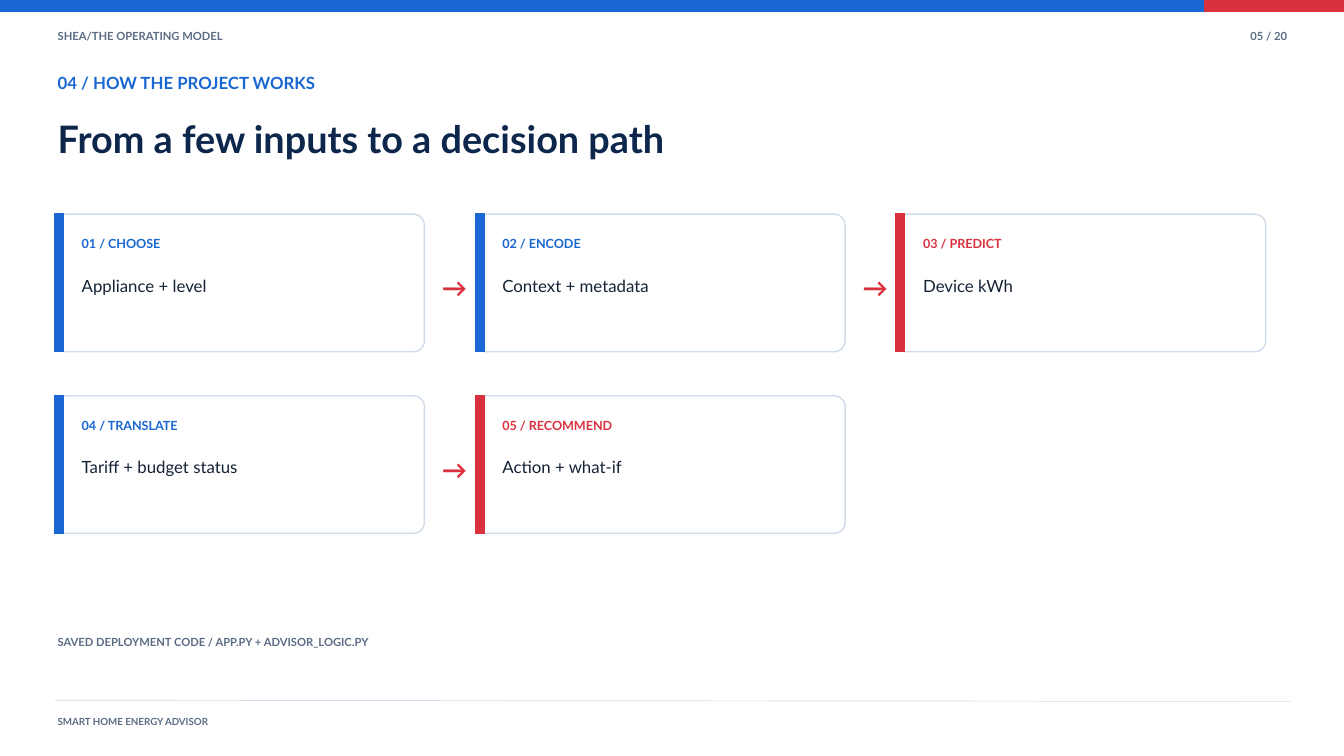
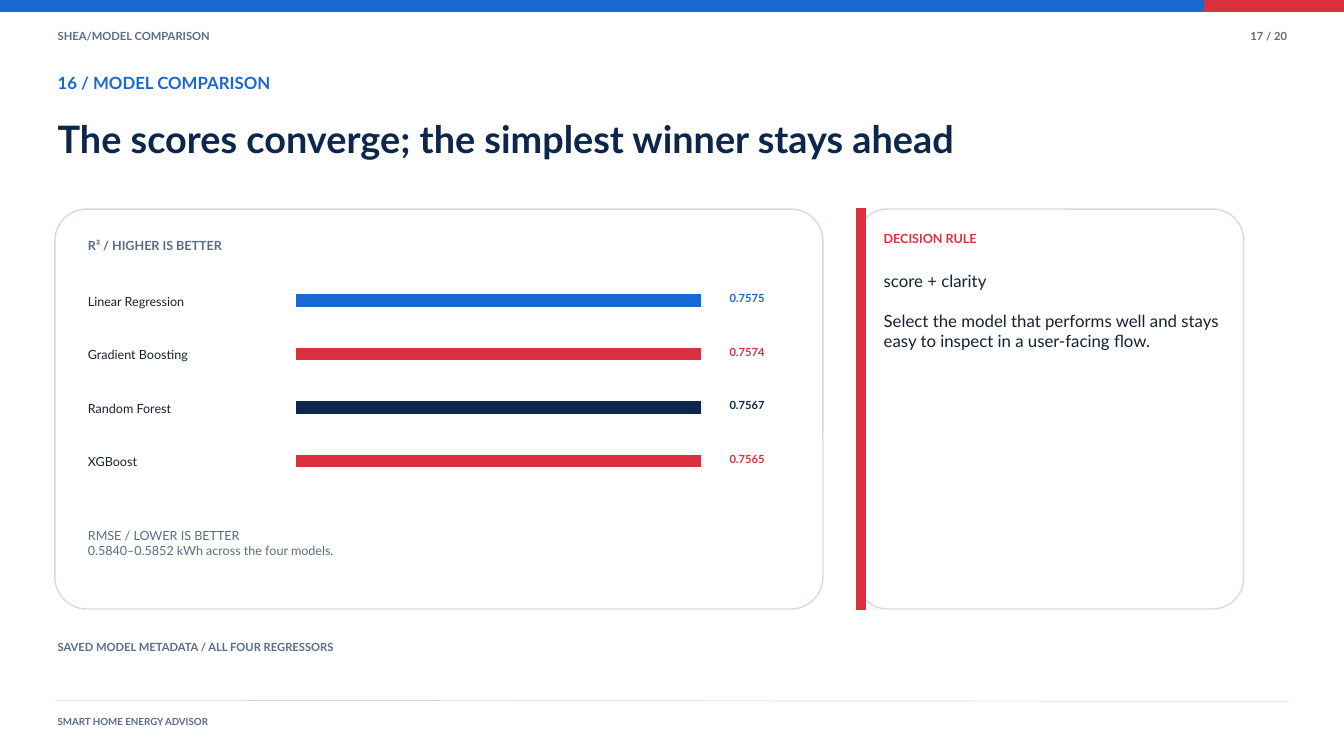
from lxml import etree
from pptx import Presentation
from pptx.dml.color import RGBColor
from pptx.enum.shapes import MSO_CONNECTOR, MSO_SHAPE
from pptx.enum.text import PP_ALIGN
from pptx.oxml.ns import qn
from pptx.util import Pt

LEFT, CENTER, RIGHT = PP_ALIGN.LEFT, PP_ALIGN.CENTER, PP_ALIGN.RIGHT
RECTANGLE, ROUNDED = MSO_SHAPE.RECTANGLE, MSO_SHAPE.ROUNDED_RECTANGLE
BLUE = RGBColor(0x19, 0x67, 0xD2)
RED = RGBColor(0xDB, 0x31, 0x3F)
NAVY = RGBColor(0x0D, 0x26, 0x4C)
INK = RGBColor(0x14, 0x22, 0x36)
SLATE = RGBColor(0x5B, 0x6C, 0x84)
BORDER = RGBColor(0xD1, 0xDC, 0xEB)
TRACK = RGBColor(0xEB, 0xF4, 0xFF)
WHITE = RGBColor(0xFF, 0xFF, 0xFF)
FONT = "Lato"

EDGE, TEXT_LEFT = 58.75, 61.75
CARD_WIDTH, CARD_HEIGHT = 396, 147.4
CARD_TOP, CARD_PITCH_X, CARD_PITCH_Y = 229.5, 450.75, 194.6
PANEL_TOP, PANEL_HEIGHT = 224, 428.5


def write(page, text, left, top, width, height, size, colour,
          bold=False, align=LEFT, gap=0):
    """Add a text box; each line of text becomes a paragraph."""
    box = page.shapes.add_textbox(Pt(left), Pt(top), Pt(width), Pt(height))
    frame = box.text_frame
    frame.word_wrap = True
    frame.margin_left = frame.margin_right = 0
    frame.margin_top = frame.margin_bottom = 0
    frame.text = text
    for index, para in enumerate(frame.paragraphs):
        para.alignment = align
        para.line_spacing = Pt(size * 1.2)
        if index:
            para.space_before = Pt(gap)
        for span in para.runs:
            span.font.name = FONT
            span.font.size = Pt(size)
            span.font.bold = bold
            span.font.color.rgb = colour


def block(page, kind, left, top, width, height, fill, line):
    """Add a filled preset shape with a sharp-cornered outline."""
    shape = page.shapes.add_shape(kind, Pt(left), Pt(top), Pt(width), Pt(height))
    shape.shadow.inherit = False
    shape.fill.solid()
    shape.fill.fore_color.rgb = fill
    shape.line.color.rgb = line
    shape.line.width = Pt(1.5)
    outline = shape._element.spPr.find(qn("a:ln"))
    etree.SubElement(outline, qn("a:miter"), lim="800000")
    if kind == ROUNDED:
        shape.adjustments[0] = 0.08


deck = Presentation()
deck.slide_width, deck.slide_height = Pt(1440), Pt(810)

# Shared bands, headings and footers
headings = [
    ("SHEA/THE OPERATING MODEL", "05 / 20", "04 / HOW THE PROJECT WORKS",
     "From a few inputs to a decision path",
     "SAVED DEPLOYMENT CODE / APP.PY + ADVISOR_LOGIC.PY", 681),
    ("SHEA/MODEL COMPARISON", "17 / 20", "16 / MODEL COMPARISON",
     "The scores converge; the simplest winner stays ahead",
     "SAVED MODEL METADATA / ALL FOUR REGRESSORS", 686),
]
for section, number, kicker, title, source, source_top in headings:
    page = deck.slides.add_slide(deck.slide_layouts[6])
    block(page, RECTANGLE, -0.75, -0.75, 1442.5, 13.25, BLUE, BLUE)
    block(page, RECTANGLE, 1291, -0.75, 150.75, 13.25, RED, RED)
    write(page, section, TEXT_LEFT, 31.5, 860, 21.5, 12, SLATE, True)
    write(page, number, 1275, 31.5, 104, 21.5, 12, SLATE, True, RIGHT)
    write(page, kicker, TEXT_LEFT, 78, 1298, 34, 18, BLUE, True)
    write(page, title, TEXT_LEFT, 124, 1298, 83.5, 40.5, NAVY, True)
    rule = page.shapes.add_connector(MSO_CONNECTOR.STRAIGHT,
                                     Pt(EDGE), Pt(750.25), Pt(1382.5), Pt(751.5))
    rule.line.color.rgb = BORDER
    rule.line.width = Pt(0.75)
    etree.SubElement(rule._element.spPr, qn("a:effectLst"))
    write(page, "SMART HOME ENERGY ADVISOR", TEXT_LEFT, 767, 428, 16, 10.5, SLATE, True)
    write(page, source, TEXT_LEFT, source_top, 860, 17.5, 12, SLATE, True)

process_page, scores_page = deck.slides

# Process steps, three to a row, with an arrow between neighbours
steps = [
    ("01 / CHOOSE", "Appliance + level", BLUE),
    ("02 / ENCODE", "Context + metadata", BLUE),
    ("03 / PREDICT", "Device kWh", RED),
    ("04 / TRANSLATE", "Tariff + budget status", BLUE),
    ("05 / RECOMMEND", "Action + what-if", RED),
]
cards = []
for index, (label, body, colour) in enumerate(steps):
    row, column = divmod(index, 3)
    left = EDGE + column * CARD_PITCH_X
    top = CARD_TOP + row * CARD_PITCH_Y
    cards.append((process_page, left, top, CARD_WIDTH, CARD_HEIGHT, label, body, colour))
    if column < 2 and index < len(steps) - 1:
        write(process_page, "→", left + 411.25, top + 62.4, 34, 28, 27, RED, True, CENTER)

# Decision rule, a tall card of the same design
rule_text = ("score + clarity\nSelect the model that performs well and stays "
             "easy to inspect in a user-facing flow.")
cards.append((scores_page, 918, PANEL_TOP, 414.5, PANEL_HEIGHT,
              "DECISION RULE", rule_text, RED))

for page, left, top, width, height, label, body, colour in cards:
    block(page, ROUNDED, left, top, width, height, WHITE, BORDER)
    block(page, RECTANGLE, left, top, 9, height, colour, colour)
    write(page, label, left + 28.8, top + 23.75, width - 51, 20, 13.5, colour, True)
    write(page, body, left + 28.8, top + 65.75, width - 51, height - 88, 18, INK, gap=21.6)

# Score panel
SCORE_LEFT, SCORE_TOP, SCORE_PITCH = 94.25, 314.75, 57.25
BAR_LEFT, TRACK_WIDTH, BAR_HEIGHT, FULL_SCORE = 318, 434, 12.25, 0.76
block(scores_page, ROUNDED, EDGE, PANEL_TOP, 823, PANEL_HEIGHT, WHITE, BORDER)
write(scores_page, "R² / HIGHER IS BETTER", SCORE_LEFT, 255, 320, 18, 13.5, SLATE, True)
write(scores_page, "RMSE / LOWER IS BETTER\n0.5840–0.5852 kWh across the four models.",
      SCORE_LEFT, 566, 720, 33, 13.5, SLATE)

# Score meters: model name, bar on its track, value
scores = [
    ("Linear Regression", 0.7575, BLUE),
    ("Gradient Boosting", 0.7574, RED),
    ("Random Forest", 0.7567, NAVY),
    ("XGBoost", 0.7565, RED),
]
for index, (model, score, colour) in enumerate(scores):
    top = SCORE_TOP + index * SCORE_PITCH
    bar_width = TRACK_WIDTH * score / FULL_SCORE
    write(scores_page, model, SCORE_LEFT, top, 222, 20, 13.5, INK)
    block(scores_page, RECTANGLE, BAR_LEFT, top + 1.25, TRACK_WIDTH, BAR_HEIGHT, TRACK, TRACK)
    block(scores_page, RECTANGLE, BAR_LEFT, top + 1.25, bar_width, BAR_HEIGHT, colour, colour)
    write(scores_page, f"{score:.4f}", 756.75, top - 2.25, 62.5, 17.5, 12, colour, True, RIGHT)

deck.save("out.pptx")
